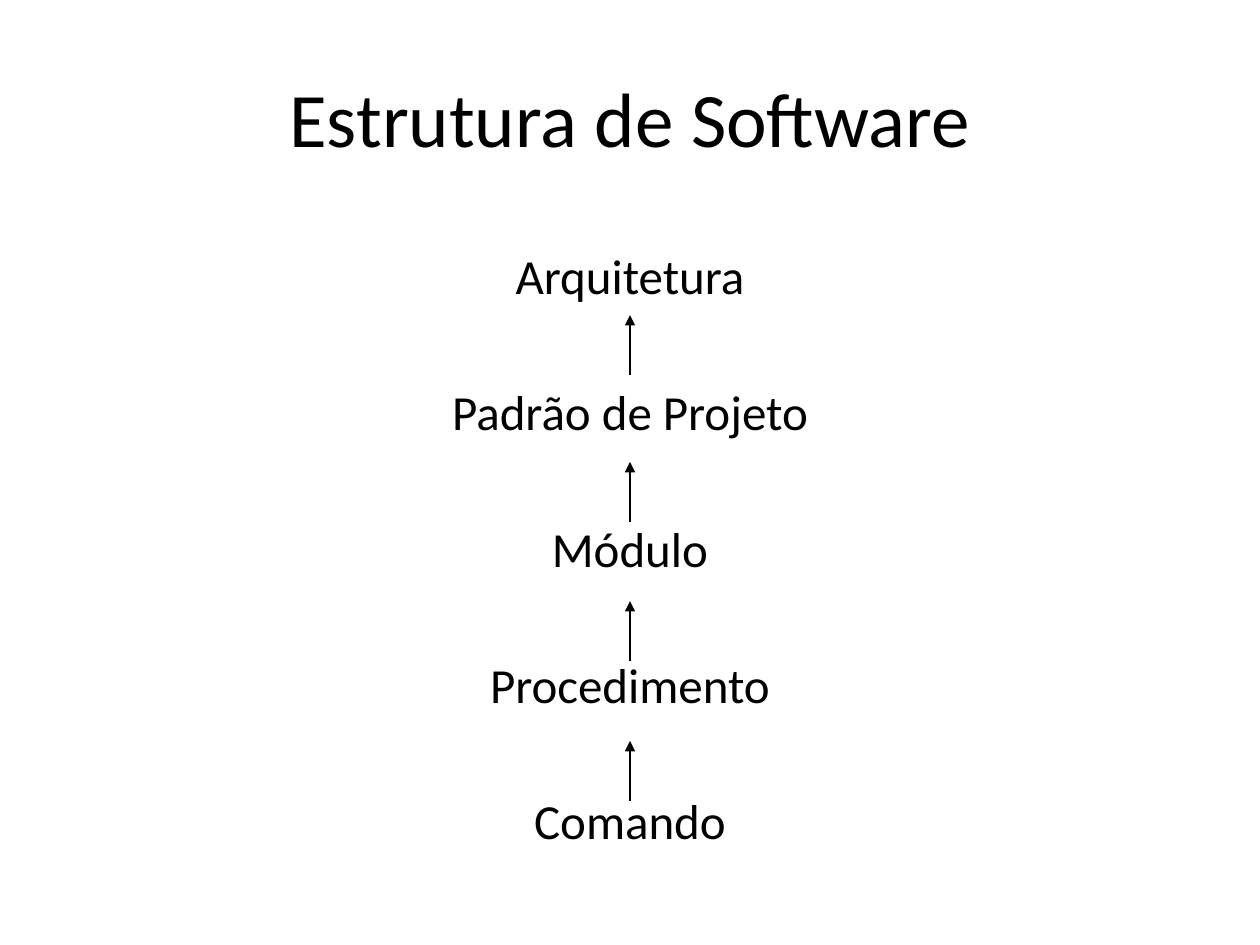
import pptx
import pptx.dml.color
import pptx.enum.shapes
import pptx.enum.text
import pptx.oxml
import pptx.oxml.ns
import pptx.util

Pt = pptx.util.Pt
BLACK = pptx.dml.color.RGBColor(0x00, 0x00, 0x00)
WHITE = pptx.dml.color.RGBColor(0xFF, 0xFF, 0xFF)
WIDTH, HEIGHT = 720, 540
LEVELS = ["Arquitetura", "Padrão de Projeto", "Módulo", "Procedimento", "Comando"]
ARROW_TIPS = [180, 264, 343.5, 423.4]
ARROW_LENGTH = 34.3


class Deck:
    font = "Calibri"
    line_width = 0.75
    level_gap = 44.25

    def __init__(self):
        self.prs = pptx.Presentation()
        self.prs.slide_width, self.prs.slide_height = Pt(WIDTH), Pt(HEIGHT)
        self.s = self.prs.slides.add_slide(self.prs.slide_layouts[5])
        fill = self.s.background.fill
        fill.solid()
        fill.fore_color.rgb = WHITE

    def add_text(self, p, text, size):
        p.alignment = pptx.enum.text.PP_ALIGN.CENTER
        r = p.add_run()
        r.text = text
        for name, value in {"name": self.font, "size": Pt(size)}.items():
            setattr(r.font, name, value)
        r.font.color.rgb = BLACK

    def title(self, text, left, top, width, height):
        sp = self.s.shapes.title
        box = {"left": left, "top": top, "width": width, "height": height}
        for name, value in box.items():
            setattr(sp, name, Pt(value))
        tf = sp.text_frame
        tf.vertical_anchor = pptx.enum.text.MSO_ANCHOR.MIDDLE
        self.add_text(tf.paragraphs[0], text, 44)

    def levels(self, texts, left, top, width, height):
        """Stack the texts in one box, evenly spaced."""
        sp = self.s.shapes.add_textbox(Pt(left), Pt(top), Pt(width), Pt(height))
        tf = sp.text_frame
        tf.word_wrap = True
        for i, text in enumerate(texts):
            p = tf.add_paragraph() if i else tf.paragraphs[0]
            p.space_before = Pt(self.level_gap if i else 0)
            self.add_text(p, text, 28)

    def arrow_up(self, x, tip, length):
        sp = self.s.shapes.add_connector(
            pptx.enum.shapes.MSO_CONNECTOR.STRAIGHT,
            Pt(x), Pt(tip + length), Pt(x), Pt(tip))
        sp.line.color.rgb = BLACK
        sp.line.width = Pt(self.line_width)
        ns = pptx.oxml.ns.nsdecls("a")
        spPr = sp._element.spPr
        ln = spPr.find(pptx.oxml.ns.qn("a:ln"))
        ln.append(pptx.oxml.parse_xml(f'<a:tailEnd {ns} type="triangle"/>'))
        spPr.append(pptx.oxml.parse_xml(f"<a:effectLst {ns}/>"))


def main():
    deck = Deck()
    deck.title("Estrutura de Software", 36, 21.6, 648, 90)
    deck.levels(LEVELS, 36, 136.8, 648, 376.6)
    for tip in ARROW_TIPS:
        deck.arrow_up(WIDTH / 2, tip, ARROW_LENGTH)
    deck.prs.save("out.pptx")


if __name__ == "__main__":
    main()
